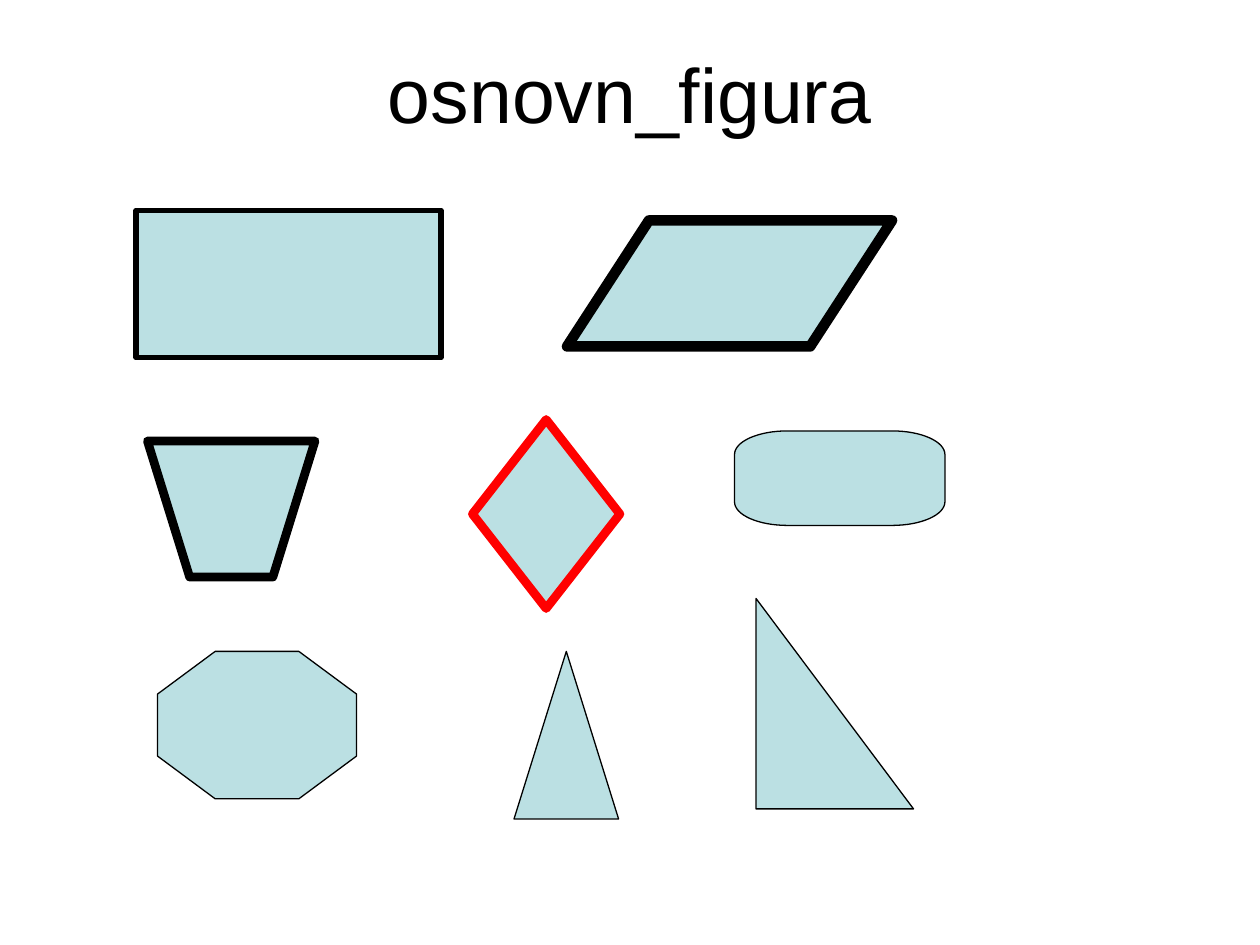
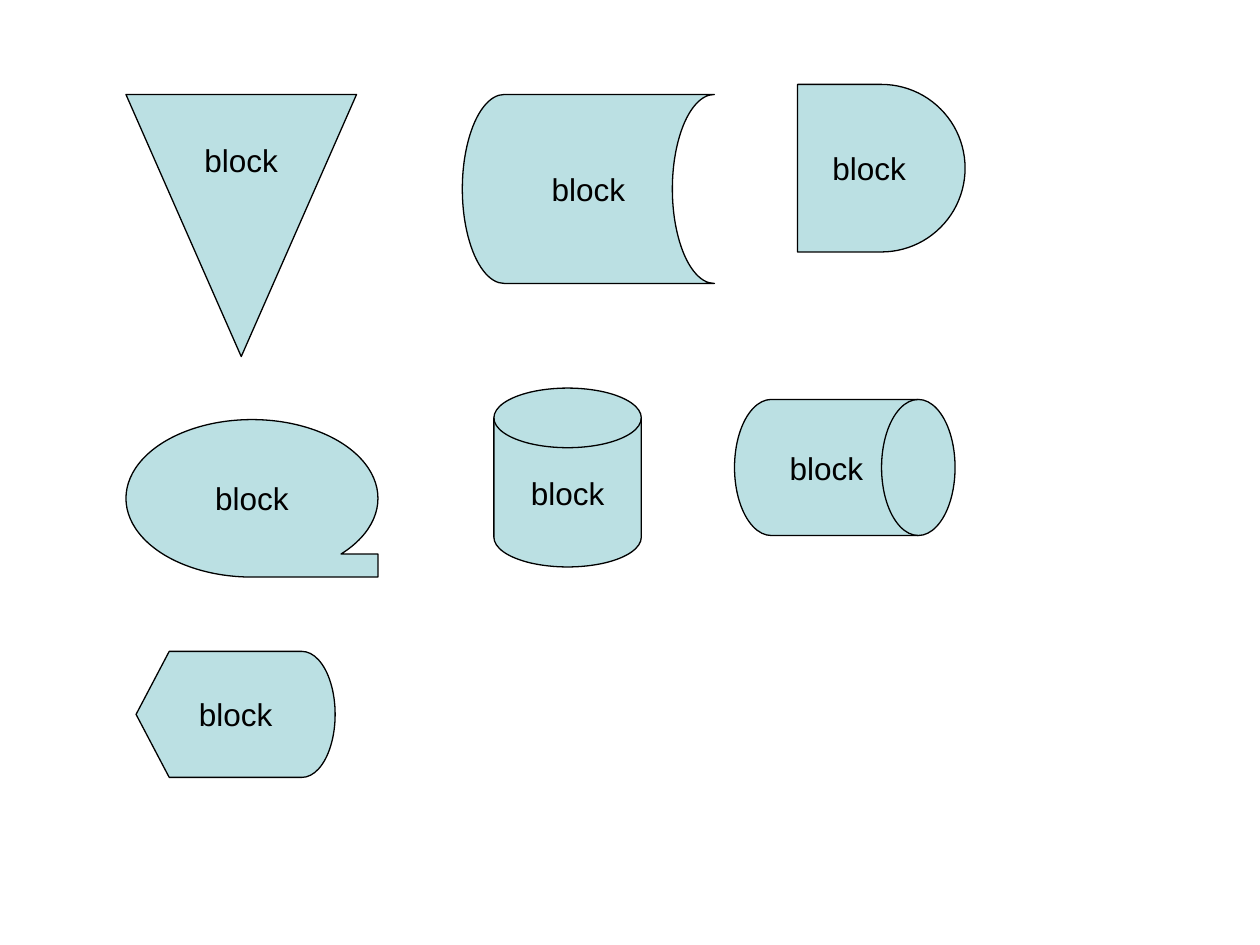
import math

from lxml import etree
from pptx import Presentation
from pptx.dml.color import RGBColor
from pptx.enum import shapes, text
from pptx.oxml import ns
from pptx.util import Inches, Pt

FONT = "Arial"
FILL = "BBE0E3"
BLACK = "000000"
RED = "FF0000"
THIN = 0.75
KIND = shapes.MSO_SHAPE


def color(value):
    """Turn a hex string into a colour."""
    return RGBColor.from_string(value)


def write(frame, words, size):
    """Write one centred line of black text."""
    frame.vertical_anchor = text.MSO_ANCHOR.MIDDLE
    para = frame.paragraphs[0]
    para.alignment = text.PP_ALIGN.CENTER
    span = para.add_run()
    span.text = words
    span.font.name = FONT
    span.font.size = Pt(size)
    span.font.color.rgb = color(BLACK)


def paint(figure, line=BLACK, weight=THIN):
    """Give a figure the shared fill and an outline with round joins."""
    figure.shadow.inherit = False
    figure.fill.solid()
    figure.fill.fore_color.rgb = color(FILL)
    figure.line.color.rgb = color(line)
    figure.line.width = Pt(weight)
    outline = figure.line._get_or_add_ln()
    etree.SubElement(outline, ns.qn("a:round"))


def add_figure(page, kind, box, line=BLACK, weight=THIN):
    """Add a painted preset figure that fills the box."""
    figure = page.shapes.add_shape(kind, *map(Inches, box))
    paint(figure, line, weight)
    return figure


def add_outline(page, box, points):
    """Add a closed figure from points given as fractions of the box."""
    left, top, width, height = box
    corners = [(Inches(left + x * width), Inches(top + y * height)) for x, y in points]
    builder = page.shapes.build_freeform(*corners[0])
    builder.add_line_segments(corners[1:], close=True)
    paint(builder.convert_to_shape())


def corner_points(inset_x, inset_y, steps):
    """Return box corners cut by elliptical arcs with the given number of steps."""
    points = []
    for quarter, (x, y) in enumerate([(1, 1), (0, 1), (0, 0), (1, 0)]):
        center_x = x + inset_x * (1 - 2 * x)
        center_y = y + inset_y * (1 - 2 * y)
        for step in range(steps + 1):
            angle = math.pi / 2 * (quarter + step / steps)
            points.append((center_x + inset_x * math.cos(angle),
                           center_y + inset_y * math.sin(angle)))
    return points


def add_title(page, words, box):
    """Fill the title placeholder and move it to the box."""
    title = page.shapes.title
    title.left, title.top, title.width, title.height = map(Inches, box)
    write(title.text_frame, words, 44)


def build_basic_figures(deck):
    """Build the slide of basic geometric figures."""
    page = deck.slides.add_slide(deck.slide_layouts[5])
    add_title(page, "osnovn_figura", (0.5, 0.3, 9, 0.87))
    add_figure(page, KIND.RECTANGLE, (1.08, 1.67, 2.42, 1.17), weight=3)
    slanted = add_figure(page, KIND.PARALLELOGRAM, (4.5, 1.75, 2.58, 1), weight=6)
    slanted.adjustments[0] = 0.65
    trapezoid = add_figure(page, KIND.TRAPEZOID, (1.17, 3.5, 1.33, 1.08), weight=5)
    trapezoid.adjustments[0] = 0.31
    trapezoid.rotation = 180
    add_figure(page, KIND.DIAMOND, (3.75, 3.33, 1.17, 1.5), RED, 5)
    add_outline(page, (5.83, 3.42, 1.67, 0.75), corner_points(0.25, 0.25, 16))
    add_outline(page, (1.25, 5.17, 1.58, 1.17), corner_points(0.29, 0.29, 1))
    add_figure(page, KIND.ISOSCELES_TRIANGLE, (4.08, 5.17, 0.83, 1.33))
    add_figure(page, KIND.RIGHT_TRIANGLE, (6, 4.75, 1.25, 1.67))


def build_flowchart_blocks(deck):
    """Build the slide of labelled flowchart blocks."""
    page = deck.slides.add_slide(deck.slide_layouts[6])
    blocks = [
        (KIND.FLOWCHART_MERGE, (1, 0.75, 1.83, 2.08)),
        (KIND.FLOWCHART_STORED_DATA, (3.67, 0.75, 2, 1.5)),
        (KIND.FLOWCHART_DELAY, (6.33, 0.67, 1.33, 1.33)),
        (KIND.FLOWCHART_SEQUENTIAL_ACCESS_STORAGE, (1, 3.33, 2, 1.25)),
        (KIND.FLOWCHART_MAGNETIC_DISK, (3.92, 3.08, 1.17, 1.42)),
        (KIND.FLOWCHART_DIRECT_ACCESS_STORAGE, (5.83, 3.17, 1.75, 1.08)),
        (KIND.FLOWCHART_DISPLAY, (1.08, 5.17, 1.58, 1)),
    ]
    for kind, box in blocks:
        block = add_figure(page, kind, box)
        block.text_frame.word_wrap = False
        write(block.text_frame, "block", 18)


def main():
    """Build and save the deck."""
    deck = Presentation()
    deck.slide_width, deck.slide_height = Inches(10), Inches(7.5)
    build_basic_figures(deck)
    build_flowchart_blocks(deck)
    deck.save("out.pptx")


if __name__ == "__main__":
    main()
